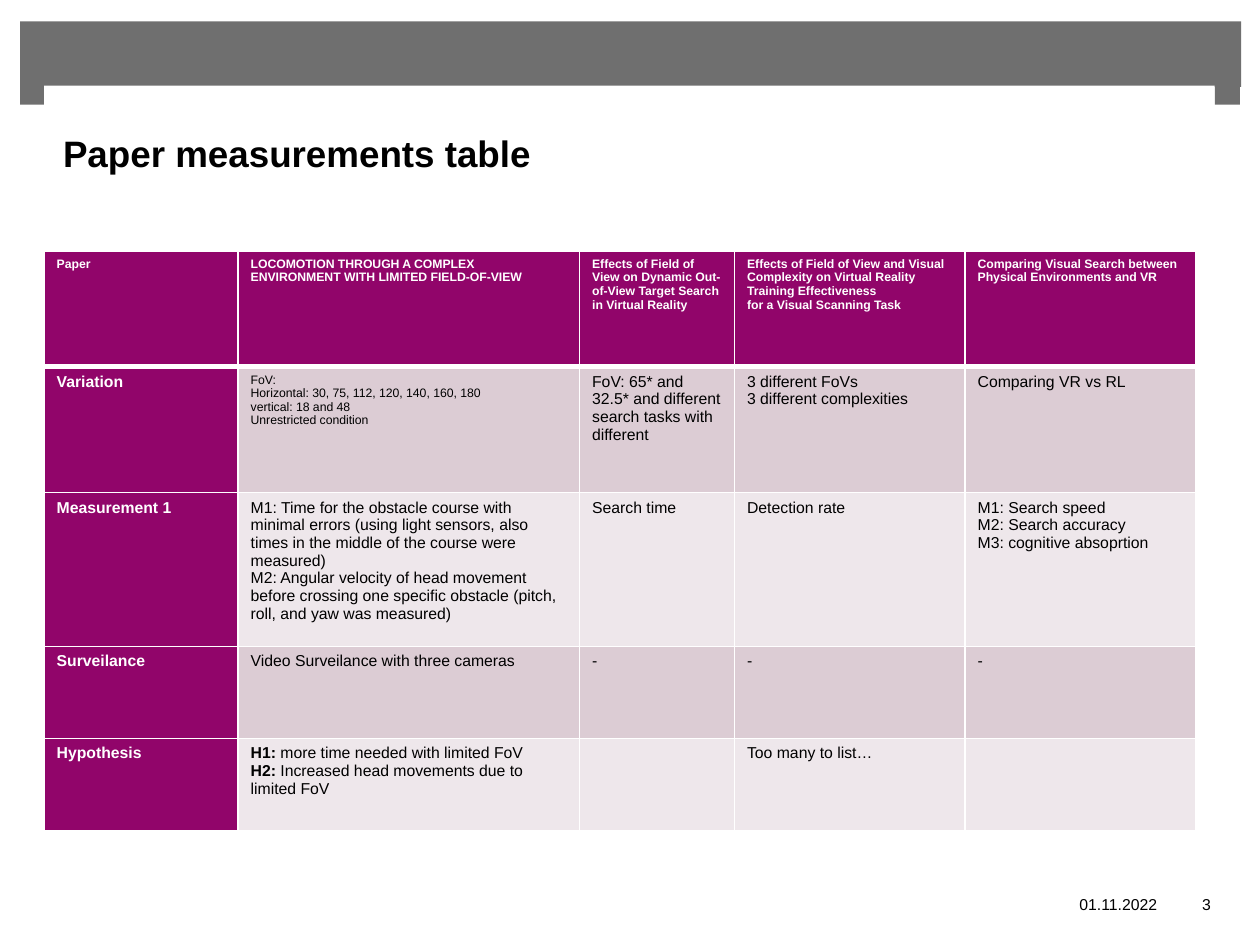
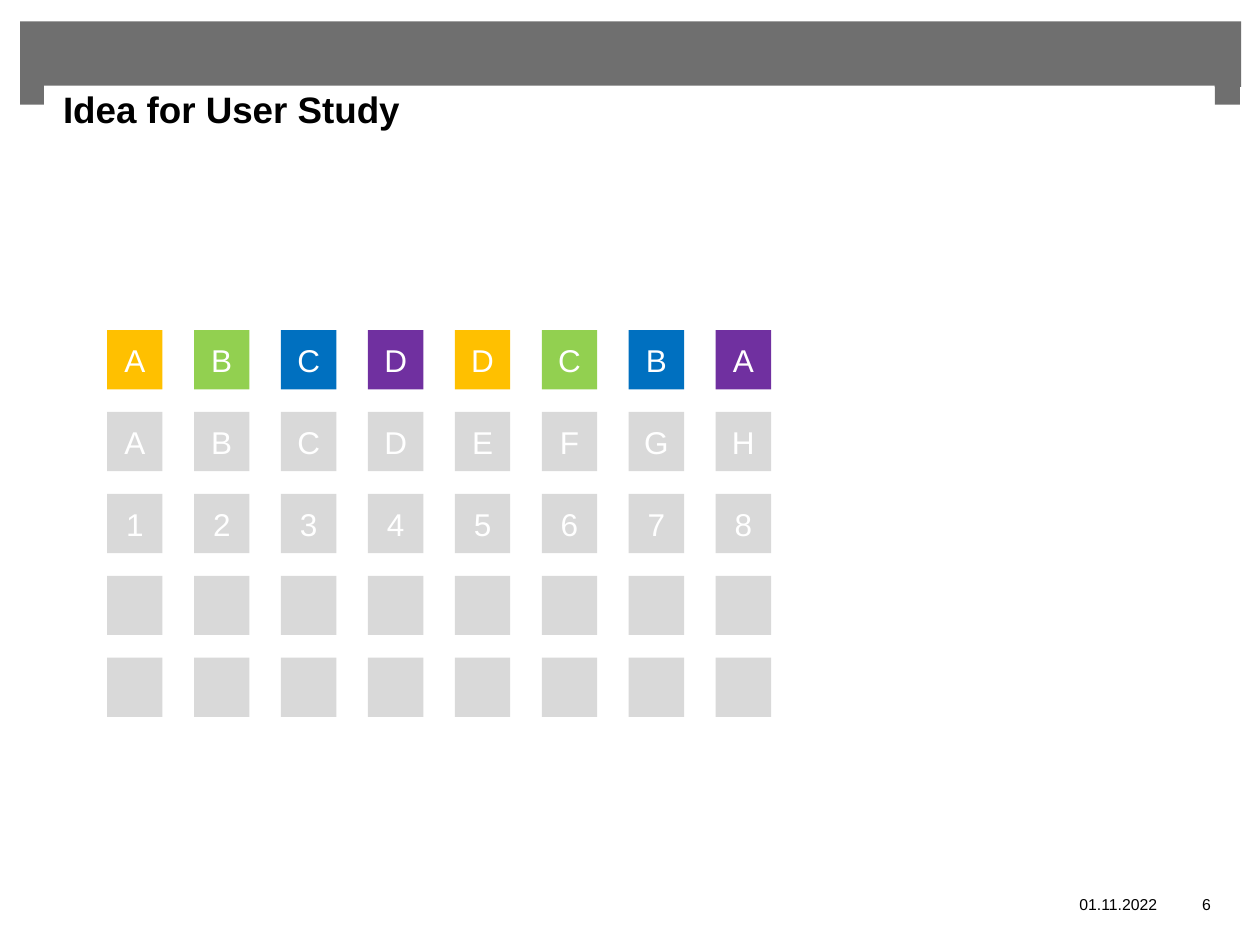
from dataclasses import dataclass

from lxml.etree import SubElement
from pptx import Presentation
from pptx.dml.color import RGBColor
from pptx.enum.shapes import MSO_SHAPE
from pptx.enum.text import MSO_ANCHOR, MSO_AUTO_SIZE, PP_ALIGN
from pptx.oxml.ns import qn
from pptx.util import Inches, Pt


@dataclass(frozen=True)
class Theme:
    font: str = "Arial"
    white: str = "FFFFFF"
    black: str = "000000"
    band: str = "6F6F6F"
    header: str = "91056A"
    row_fills: tuple = ("EEE7EB", "DCCCD4")
    tile_fills: tuple = ("FFC000", "92D050", "0070C0", "7030A0")
    blank_tile: str = "D9D9D9"
    title_size: float = 21
    tile_size: float = 18
    body_size: float = 9
    small_size: float = 7


theme = Theme()


def format_runs(paragraph, size, color, bold=False, align=PP_ALIGN.LEFT):
    paragraph.alignment = align
    for run in paragraph.runs:
        run.font.name = theme.font
        run.font.size = Pt(size)
        run.font.bold = bold
        run.font.color.rgb = RGBColor.from_string(color)


def add_rectangle(slide, left, top, width, height, fill):
    shape = slide.shapes.add_shape(
        MSO_SHAPE.RECTANGLE, Inches(left), Inches(top), Inches(width), Inches(height)
    )
    shape.shadow.inherit = False
    shape.fill.solid()
    shape.fill.fore_color.rgb = RGBColor.from_string(fill)
    shape.line.fill.background()
    return shape


presentation = Presentation()
presentation.slide_width = Inches(10)
presentation.slide_height = Inches(7.5)
layout = presentation.slide_layouts.get_by_name("Title Only")

line_height = 0.35
pages = [("Paper measurements table", "3", 1), ("Idea for User Study", "6", 2)]
slides = []
for heading, number, lines_below in pages:
    slide = presentation.slides.add_slide(layout)
    slides.append(slide)
    title = slide.shapes.title
    title.left, title.top = Inches(0.35), Inches(0.68)
    title.width, title.height = Inches(9.29), Inches(1.06)
    title.fill.solid()
    title.fill.fore_color.rgb = RGBColor.from_string(theme.white)
    text_frame = title.text_frame
    text_frame.text = heading
    text_frame.auto_size = MSO_AUTO_SIZE.NONE
    text_frame.vertical_anchor = MSO_ANCHOR.BOTTOM
    text_frame.margin_left, text_frame.margin_right = Inches(0.15), Inches(0.16)
    text_frame.margin_top = 0
    text_frame.margin_bottom = Inches(lines_below * line_height)
    format_runs(text_frame.paragraphs[0], theme.title_size, theme.black, True)

    for text, left, width in [("01.11.2022", 8.54, 0.67), (number, 9.43, 0.29)]:
        footer = slide.shapes.add_textbox(
            Inches(left), Inches(6.92), Inches(width), Inches(0.51)
        )
        text_frame = footer.text_frame
        text_frame.text = text
        text_frame.word_wrap = False
        text_frame.vertical_anchor = MSO_ANCHOR.MIDDLE
        text_frame.margin_left = text_frame.margin_right = 0
        text_frame.margin_top = text_frame.margin_bottom = 0
        format_runs(
            text_frame.paragraphs[0], theme.body_size, theme.black, align=PP_ALIGN.CENTER
        )

table_slide, study_slide = slides

band_parts = [(0.16, 0.17, 9.69, 0.52), (0.16, 0.65, 0.2, 0.18), (9.64, 0.65, 0.2, 0.18)]
for bounds in band_parts:
    band = add_rectangle(table_slide, *bounds, theme.band)
    layout.shapes.element.append(band.element)

measurements = [
    [
        "Paper",
        "LOCOMOTION THROUGH A COMPLEX ENVIRONMENT WITH LIMITED FIELD-OF-VIEW",
        "Effects of Field of View on Dynamic Out-of-View Target Search in Virtual Reality",
        "Effects of Field of View and Visual Complexity on Virtual Reality "
        "Training Effectiveness\nfor a Visual Scanning Task",
        "Comparing Visual Search between Physical Environments and VR",
    ],
    [
        "Variation",
        "FoV:\nHorizontal: 30, 75, 112, 120, 140, 160, 180\n"
        "vertical: 18 and 48\nUnrestricted condition",
        "FoV: 65* and 32.5* and different search tasks with different",
        "3 different FoVs\n3 different complexities",
        "Comparing VR vs RL",
    ],
    [
        "Measurement 1",
        "M1: Time for the obstacle course with minimal errors (using light sensors, "
        "also times in the middle of the course were measured)\n"
        "M2: Angular velocity of head movement before crossing one specific obstacle "
        "(pitch, roll, and yaw was measured)",
        "Search time",
        "Detection rate",
        "M1: Search speed\nM2: Search accuracy\nM3: cognitive absoprtion",
    ],
    ["Surveilance", "Video Surveilance with three cameras", "-", "-", "-"],
    [
        "Hypothesis",
        "H1: |more time needed with limited FoV\n"
        "H2: |Increased head movements due to limited FoV",
        "",
        "Too many to list…",
        "",
    ],
]
column_widths = [1.54, 2.71, 1.23, 1.83, 1.83]
row_heights = [0.92, 1, 1.22, 0.73, 0.73]
table = table_slide.shapes.add_table(
    len(row_heights),
    len(column_widths),
    Inches(0.35),
    Inches(1.99),
    Inches(sum(column_widths)),
    Inches(sum(row_heights)),
).table
for column, width in zip(table.columns, column_widths):
    column.width = Inches(width)

for row_index, row_texts in enumerate(measurements):
    table.rows[row_index].height = Inches(row_heights[row_index])
    for column_index, text in enumerate(row_texts):
        cell = table.cell(row_index, column_index)
        is_header = row_index == 0 or column_index == 0
        is_small = row_index == 0 or (row_index, column_index) == (1, 1)
        size = theme.small_size if is_small else theme.body_size
        color = theme.white if is_header else theme.black

        cell_properties = cell._tc.get_or_add_tcPr()
        for side in ("lnL", "lnR", "lnT", "lnB"):
            is_thick = (row_index, side) in [(0, "lnB"), (1, "lnT")]
            border = SubElement(cell_properties, qn(f"a:{side}"), w=str(Pt(3 if is_thick else 1)))
            border_fill = SubElement(border, qn("a:solidFill"))
            SubElement(border_fill, qn("a:srgbClr"), val=theme.white)
        cell.fill.solid()
        cell.fill.fore_color.rgb = RGBColor.from_string(
            theme.header if is_header else theme.row_fills[row_index % 2]
        )

        cell.text_frame.text = text
        for paragraph in cell.text_frame.paragraphs:
            label, separator, detail = paragraph.text.partition("|")
            paragraph.text = label
            if separator:
                paragraph.add_run().text = detail
            format_runs(paragraph, size, color, is_header)
            if separator:
                paragraph.runs[0].font.bold = True

tile_rows = ["ABCDDCBA", "ABCDEFGH", "12345678", "", ""]
tile_columns = 8
for row_index, labels in enumerate(tile_rows):
    for column_index in range(tile_columns):
        fill = theme.blank_tile
        if row_index == 0:
            fill = theme.tile_fills[column_index % len(theme.tile_fills)]
        tile = add_rectangle(
            study_slide,
            0.85 + column_index * 0.69,
            2.62 + row_index * 0.65,
            0.44,
            0.47,
            fill,
        )
        if labels:
            tile.text_frame.text = labels[column_index]
            tile.text_frame.vertical_anchor = MSO_ANCHOR.MIDDLE
            format_runs(
                tile.text_frame.paragraphs[0],
                theme.tile_size,
                theme.white,
                align=PP_ALIGN.CENTER,
            )

presentation.save("out.pptx")
